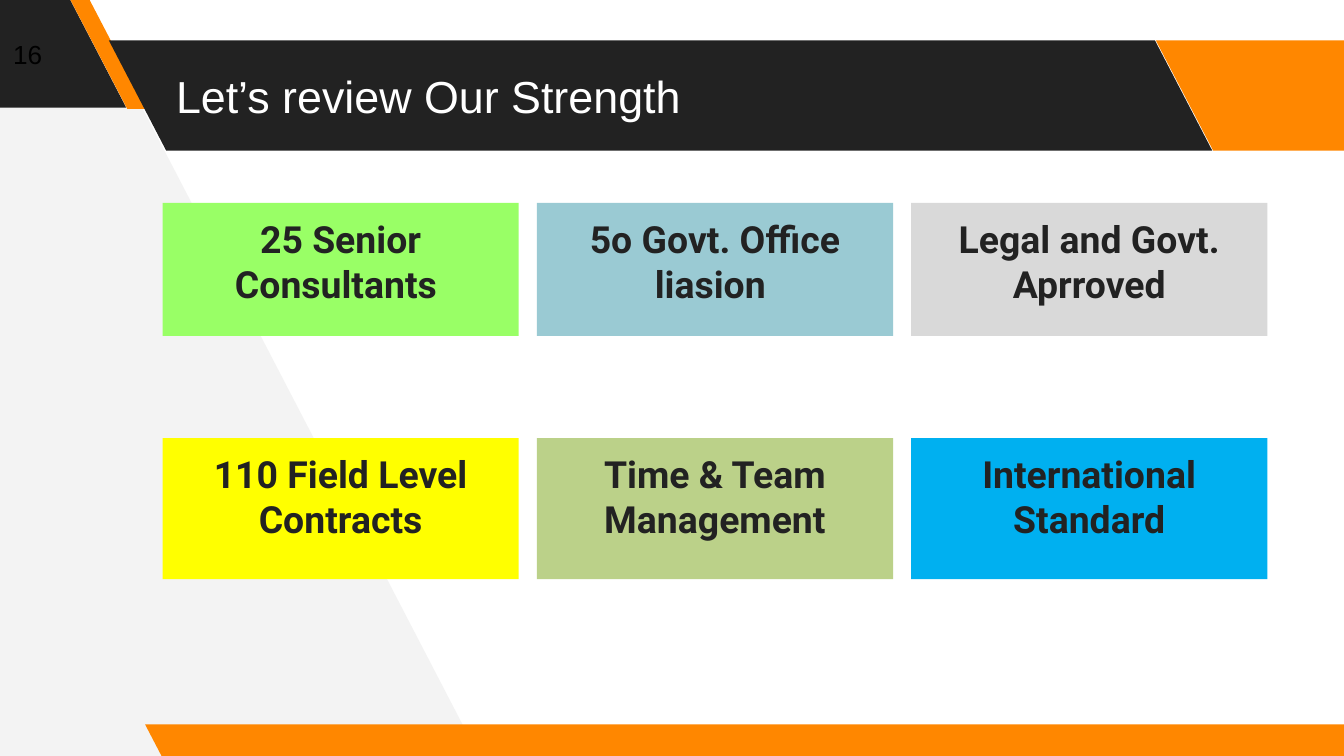
from pptx import Presentation
from pptx.dml.color import RGBColor
from pptx.enum.shapes import MSO_SHAPE
from pptx.enum.text import MSO_ANCHOR, MSO_AUTO_SIZE, PP_ALIGN
from pptx.util import Inches, Pt

WHITE = RGBColor(0xFF, 0xFF, 0xFF)
BLACK = RGBColor(0x00, 0x00, 0x00)
DARK = RGBColor(0x22, 0x22, 0x22)
ORANGE = RGBColor(0xFF, 0x87, 0x00)
PALE_GREY = RGBColor(0xF3, 0xF3, 0xF3)
LIME = RGBColor(0x99, 0xFF, 0x66)
TEAL = RGBColor(0x9A, 0xCA, 0xD3)
GREY = RGBColor(0xD9, 0xD9, 0xD9)
YELLOW = RGBColor(0xFF, 0xFF, 0x00)
OLIVE = RGBColor(0xBB, 0xD1, 0x89)
BLUE = RGBColor(0x00, 0xB0, 0xF0)


def paint(shape, color):
    shape.shadow.inherit = False
    shape.fill.solid()
    shape.fill.fore_color.rgb = color
    shape.line.fill.background()


def write(shape, text, font_name, size, color, alignment, anchor, bold=False):
    frame = shape.text_frame
    frame.auto_size = MSO_AUTO_SIZE.NONE
    frame.word_wrap = True
    frame.vertical_anchor = anchor
    frame.margin_left = frame.margin_right = Inches(0.1)
    frame.margin_top = frame.margin_bottom = Inches(0.1)
    paragraph = frame.paragraphs[0]
    paragraph.alignment = alignment
    run = paragraph.add_run()
    run.text = text
    run.font.name = font_name
    run.font.size = Pt(size)
    run.font.bold = bold
    run.font.color.rgb = color


# Widescreen slide, 16:9
presentation = Presentation()
presentation.slide_width = Inches(10)
presentation.slide_height = Inches(10 * 9 / 16)
slide = presentation.slides.add_slide(presentation.slide_layouts[5])
shapes = slide.shapes

# Pale slanted panel on the left
corners = [(Inches(x), Inches(y)) for x, y in
           [(3.56, 5.62), (0.62, -0.04), (-0.06, -0.04), (-0.02, 5.66)]]
builder = shapes.build_freeform(*corners[0])
builder.add_line_segments(corners[1:])
paint(builder.convert_to_shape(), PALE_GREY)

# Slanted bands: left, top, width, height, slant, color
bands = [
    (-0.99, -0.02, 1.93, 0.82, 0.52, DARK),
    (0.52, -0.01, 0.57, 0.82, 0.75, ORANGE),
    (0.81, 0.3, 8.21, 0.82, 0.52, DARK),
    (8.6, 0.3, 1.92, 0.82, 0.52, ORANGE),
    (1.08, 5.39, 9.15, 0.25, 0.52, ORANGE),
]
for left, top, width, height, slant, color in bands:
    band = shapes.add_shape(MSO_SHAPE.PARALLELOGRAM, Inches(left), Inches(top),
                            Inches(width), Inches(height))
    band.adjustments[0] = slant
    band.element.spPr.xfrm.set("flipH", "1")
    paint(band, color)

# Title, brought in front of the bands
title = shapes.title
title.left, title.top = Inches(1.21), Inches(0.3)
title.width, title.height = Inches(7.35), Inches(0.82)
write(title, "Let’s review Our Strength", "Arial", 24, WHITE,
      PP_ALIGN.LEFT, MSO_ANCHOR.MIDDLE)
title.element.getparent().append(title.element)

# Slide number
number = shapes.add_textbox(Inches(0), Inches(0.15), Inches(0.6), Inches(0.5))
write(number, "16", "Arial", 14, BLACK, PP_ALIGN.LEFT, MSO_ANCHOR.MIDDLE)

# Strength cards: row top, row height, cards
rows = [
    (1.51, 0.99, [("25 Senior Consultants ", LIME),
                  ("5o Govt. Office liasion ", TEAL),
                  ("Legal and Govt. Aprroved", GREY)]),
    (3.26, 1.05, [("110 Field Level Contracts", YELLOW),
                  ("Time & Team Management", OLIVE),
                  ("International Standard", BLUE)]),
]
FIRST_LEFT, LAST_LEFT, CARD_WIDTH = 1.21, 6.78, 2.65
card_step = (LAST_LEFT - FIRST_LEFT) / 2
for top, height, cards in rows:
    for column, (text, color) in enumerate(cards):
        card = shapes.add_shape(MSO_SHAPE.RECTANGLE,
                                Inches(FIRST_LEFT + column * card_step), Inches(top),
                                Inches(CARD_WIDTH), Inches(height))
        paint(card, color)
        write(card, text, "Roboto", 20, DARK, PP_ALIGN.CENTER, MSO_ANCHOR.TOP, bold=True)

presentation.save("out.pptx")
